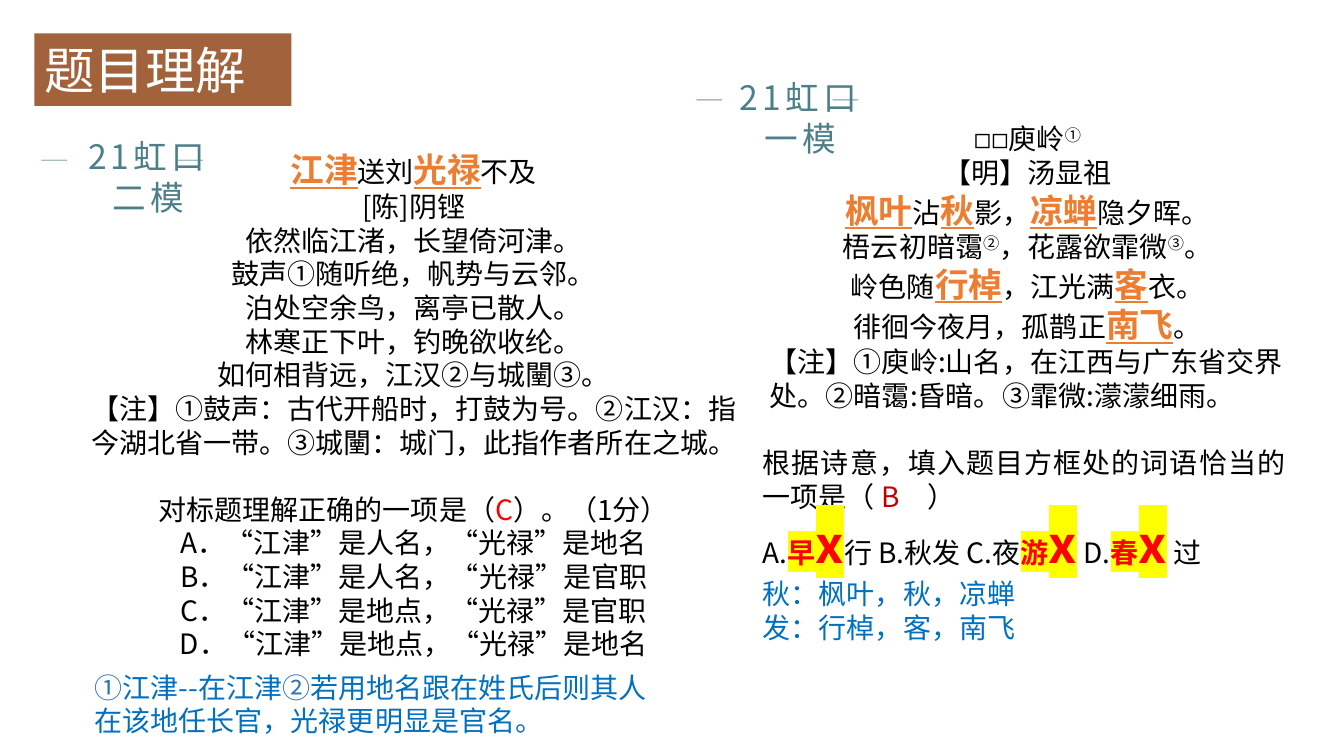
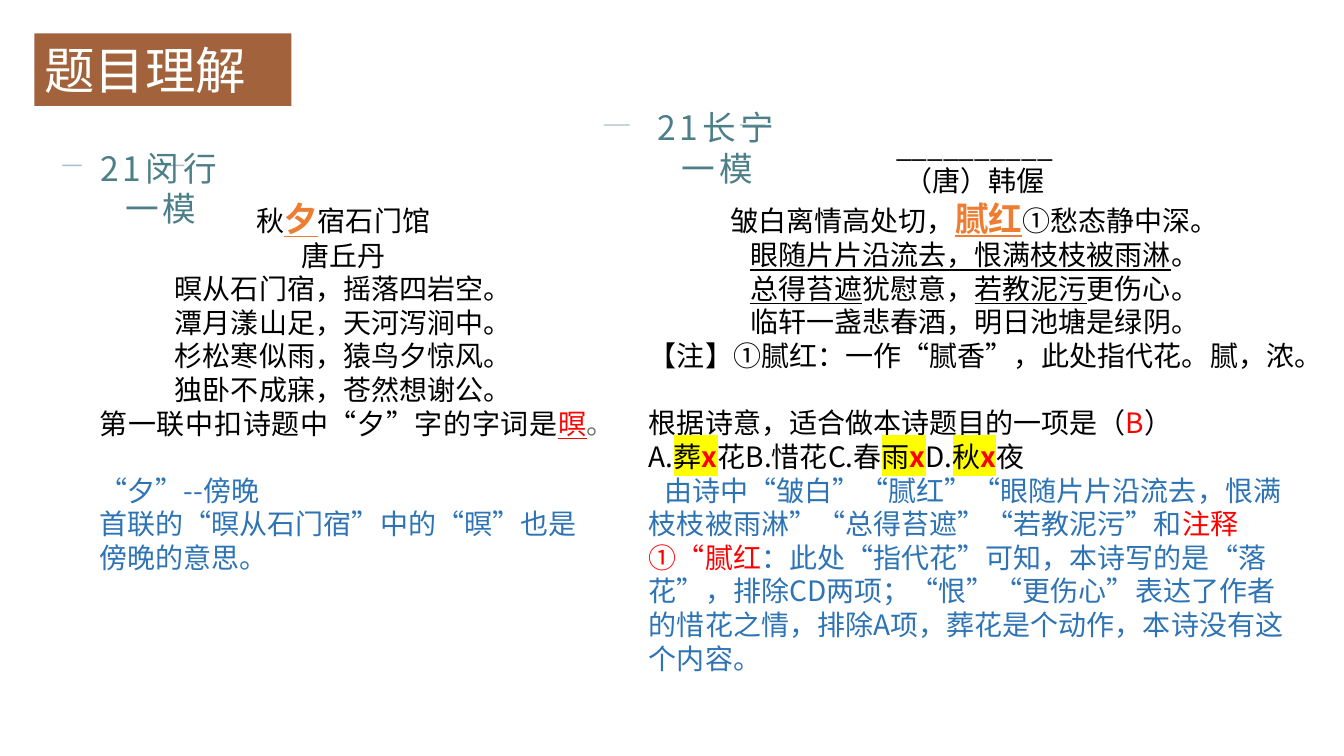
from dataclasses import dataclass, replace

from lxml.etree import SubElement
from pptx import Presentation
from pptx.dml.color import RGBColor
from pptx.enum.shapes import MSO_CONNECTOR
from pptx.enum.text import MSO_ANCHOR, PP_ALIGN
from pptx.oxml.ns import qn
from pptx.util import Pt

BLACK = RGBColor(0x00, 0x00, 0x00)
WHITE = RGBColor(0xFF, 0xFF, 0xFF)
BROWN = RGBColor(0xA2, 0x63, 0x3C)
TEAL = RGBColor(0x4D, 0x7F, 0x89)
ORANGE = RGBColor(0xED, 0x7D, 0x31)
RED = RGBColor(0xFF, 0x00, 0x00)
DARK_RED = RGBColor(0xC0, 0x00, 0x00)
BLUE = RGBColor(0x00, 0x70, 0xC0)
MID_BLUE = RGBColor(0x2E, 0x75, 0xB6)
NOTE_BLUE = RGBColor(0x2E, 0x74, 0xB5)
GRAY = RGBColor(0x76, 0x71, 0x71)
YELLOW = RGBColor(0xFF, 0xFF, 0x00)

JP = "Noto Sans CJK JP"
SC = "Noto Sans CJK SC"
LEFT, CENTER, JUSTIFY = PP_ALIGN.LEFT, PP_ALIGN.CENTER, PP_ALIGN.JUSTIFY
LINE, TALL_LINE = 24, 29


@dataclass(frozen=True)
class Style:
    size: int = 20
    color: RGBColor = BLACK
    font: str = JP
    bold: bool = False
    underline: bool = False
    highlight: RGBColor = None
    raised: bool = False
    spacing: int = 0


BODY = Style()
TITLE = Style(36, WHITE, SC)
HEADING = Style(24, TEAL, SC, spacing=3)
KEY = Style(24, ORANGE, bold=True, underline=True)
LINED = Style(underline=True)
RAISED = Style(raised=True)
ANSWER = Style(color=RED)
EXPLAIN = Style(color=BLUE)
NOTE = Style(color=NOTE_BLUE)
MARKED = Style(highlight=YELLOW)
WRONG = Style(color=RED, bold=True, highlight=YELLOW)
CROSS = replace(WRONG, font=SC)
BIG_CROSS = replace(CROSS, size=36)


def para(*runs, align=CENTER, line=None, before=0, left=0, indent=0):
    """Describe a paragraph; a run is a plain string or (text, style)."""
    runs = [(r, BODY) if isinstance(r, str) else r for r in runs]
    if line is None:
        line = TALL_LINE if any(st.size == 24 for _, st in runs) else LINE
    return runs, align, line, before, left, indent


def add_run(p, text, style):
    r = p.add_run()
    r.text = text
    f = r.font
    f.size, f.bold, f.underline = Pt(style.size), style.bold, style.underline
    f.color.rgb = style.color
    rPr = r._r.get_or_add_rPr()
    rPr.set("lang", "zh-CN")
    if style.raised:
        rPr.set("baseline", "30000")
    if style.spacing:
        rPr.set("spc", str(style.spacing * 100))
    if style.highlight is not None:
        mark = SubElement(rPr, qn("a:highlight"))
        SubElement(mark, qn("a:srgbClr")).set("val", str(style.highlight))
    f.name = style.font
    SubElement(rPr, qn("a:ea")).set("typeface", style.font)


def add_text(s, x, y, w, h, *paras):
    tf = s.shapes.add_textbox(Pt(x), Pt(y), Pt(w), Pt(h)).text_frame
    tf.word_wrap = True
    tf.margin_top = Pt(5)
    for i, (runs, align, line, before, left, indent) in enumerate(paras):
        p = tf.add_paragraph() if i else tf.paragraphs[0]
        p.alignment = align
        p.line_spacing, p.space_before = Pt(line), Pt(before)
        pPr = p._p.get_or_add_pPr()
        pPr.set("marL", str(Pt(left)))
        pPr.set("indent", str(Pt(indent)))
        for text, style in runs:
            add_run(p, text, style)


def add_title(s):
    """Turn the title placeholder into the brown pill."""
    title = s.shapes.title
    title.left, title.top = Pt(24.5), Pt(23.8)
    title.width, title.height = Pt(183.6), Pt(51.8)
    spPr = title.element.spPr
    geom = SubElement(spPr, qn("a:prstGeom"))
    geom.set("prst", "roundRect")
    guide = SubElement(SubElement(geom, qn("a:avLst")), qn("a:gd"))
    guide.set("name", "adj")
    guide.set("fmla", "val 50000")
    title.fill.solid()
    title.fill.fore_color.rgb = BROWN
    tf = title.text_frame
    tf.word_wrap = False
    tf.vertical_anchor = MSO_ANCHOR.MIDDLE
    p = tf.paragraphs[0]
    p.alignment = LEFT
    add_run(p, "题目理解", TITLE)


def add_dash(s, x, y, length):
    dash = s.shapes.add_connector(MSO_CONNECTOR.STRAIGHT, Pt(x), Pt(y), Pt(x + length), Pt(y))
    dash.line.color.rgb = TEAL
    dash.line.width = Pt(1)
    color = dash.line._ln.find(qn("a:solidFill"))[0]
    SubElement(color, qn("a:alpha")).set("val", "50000")
    SubElement(dash._element.spPr, qn("a:effectLst"))


def add_heading(s, text, x, y, w, dash_y, dash_xs, dash_length=18.4):
    for dash_x in dash_xs:
        add_dash(s, dash_x, dash_y, dash_length)
    add_text(s, x, y, w, 65.5, para((text, HEADING)))


def add_slide(prs):
    s = prs.slides.add_slide(prs.slide_layouts[5])
    add_title(s)
    return s


def build_hongkou(prs):
    s = add_slide(prs)
    add_heading(s, "21虹口二模", 43.2, 92.2, 126, 114.5, (29.5, 126.7))
    add_text(
        s, 53.3, 101.5, 484.6, 399.6,
        para(("江津", KEY), "送刘", ("光禄", KEY), "不及"),
        para("[陈]阴铿"),
        para("依然临江渚，长望倚河津。"),
        para("鼓声①随听绝，帆势与云邻。"),
        para("泊处空余鸟，离亭已散人。"),
        para("林寒正下叶，钓晚欲收纶。"),
        para("如何相背远，江汉②与城闉③。"),
        para("【注】①鼓声：古代开船时，打鼓为号。②江汉：指今湖北省一带。"
             "③城闉：城门，此指作者所在之城。"),
        para("对标题理解正确的一项是（", ("C", ANSWER), "）。（1分）", before=LINE),
        para("A．“江津”是人名，“光禄”是地名"),
        para("B．“江津”是人名，“光禄”是官职"),
        para("C．“江津”是地点，“光禄”是官职"),
        para("D．“江津”是地点，“光禄”是地名"),
    )
    circled = Style(color=MID_BLUE)
    add_text(
        s, 60.5, 473.8, 419.8, 55.4,
        para(("①", circled), ("江津--在江津", EXPLAIN), ("②", circled),
             ("若用地名跟在姓氏后则其人在该地任长官，光禄更明显是官名。", EXPLAIN), align=LEFT),
    )

    add_heading(s, "21虹口一模", 509.8, 49.7, 123.8, 71.3, (497.5, 594.7))
    add_text(
        s, 537.8, 82.1, 387.4, 426.2,
        para("◻◻庾岭", ("①", RAISED), left=5),
        para("【明】汤显祖", left=5),
        para(("枫叶", KEY), "沾", ("秋", KEY), "影，", ("凉蝉", KEY), "隐夕晖。", left=5),
        para("梧云初暗霭", ("②", RAISED), "，花露欲霏微", ("③", RAISED), "。", left=5),
        para("岭色随", ("行棹", KEY), "，江光满", ("客", KEY), "衣。", left=5),
        para("徘徊今夜月，孤鹊正", ("南飞", KEY), "。", left=5),
        para("【注】①庾岭:山名，在江西与广东省交界处。②暗霭:昏暗。③霏微:濛濛细雨。",
             align=LEFT, left=5),
        para("根据诗意，填入题目方框处的词语恰当的一项是（ ",
             ("B　", Style(color=DARK_RED)), "）", align=JUSTIFY, before=LINE),
        para("A.", ("早", WRONG), ("x", BIG_CROSS), " 行 B.秋发 C.夜".replace(" ", " ", 1).strip(),
             ("游", WRONG), ("x", BIG_CROSS), " D.", ("春", WRONG), ("x", BIG_CROSS), " 过",
             align=JUSTIFY, line=22, before=21.6),
        para(("秋：枫叶，秋，凉蝉", EXPLAIN), align=JUSTIFY, before=2),
        para(("发：行棹，客，南飞", EXPLAIN), align=JUSTIFY),
    )


def build_minhang_changning(prs):
    s = add_slide(prs)
    add_text(
        s, 64.1, 136.1, 362.2, 278.6,
        para("秋", ("夕", KEY), "宿石门馆"),
        para("唐丘丹"),
        para("暝从石门宿，摇落四岩空。"),
        para("潭月漾山足，天河泻涧中。"),
        para("杉松寒似雨，猿鸟夕惊风。"),
        para("独卧不成寐，苍然想谢公。"),
        para("第一联中扣诗题中“夕”字的字词是", ("暝", replace(ANSWER, underline=True)),
             ("。", Style(color=GRAY)), align=JUSTIFY),
        para(("“夕”--傍晚", NOTE), align=LEFT, before=LINE),
        para(("首联的“暝从石门宿”中的“暝”也是傍晚的意思。", NOTE), align=LEFT),
    )
    add_heading(s, "21闵行一模", 54.7, 100.1, 120.2, 118.1, (44.6, 118.1), 13.7)

    add_text(
        s, 456.5, 87.8, 479.5, 375.8,
        para("__________"),
        para("（唐）韩偓"),
        para("皱白离情高处切，", ("腻红", KEY), "①愁态静中深。"),
        para(("眼随片片沿流去，恨满枝枝被雨淋", LINED), "。"),
        para(("总得苔遮", LINED), "犹慰意，", ("若教泥污", LINED), "更伤心。"),
        para("临轩一盏悲春酒，明日池塘是绿阴。"),
        para("【注】①腻红：一作“腻香”，此处指代花。腻，浓。", align=LEFT),
        para("根据诗意，适合做本诗题目的一项是（", ("B", ANSWER), "）", align=LEFT, before=LINE),
        para("A.", ("葬", MARKED), ("x", CROSS), "花B.惜花C.春", ("雨", MARKED), ("x", CROSS),
             "D.", ("秋", MARKED), ("x", CROSS), "夜", align=LEFT),
        para(("由诗中“皱白”“腻红”“眼随片片沿流去，恨满枝枝被雨淋”“总得苔遮”“若教泥污”和", NOTE),
             ("注释①“腻红", ANSWER),
             ("：此处“指代花”可知，本诗写的是“落花”，排除CD两项；“恨”“更伤心”表达了作者的惜花之情，"
              "排除A项，葬花是个动作，本诗没有这个内容。", NOTE), align=LEFT, indent=10.8),
    )
    add_heading(s, "21长宁一模", 456.5, 71.3, 112.3, 89.3, (431.3, 528.5))


def main():
    prs = Presentation()
    prs.slide_width, prs.slide_height = Pt(960), Pt(540)
    build_hongkou(prs)
    build_minhang_changning(prs)
    prs.save("out.pptx")


if __name__ == "__main__":
    main()
